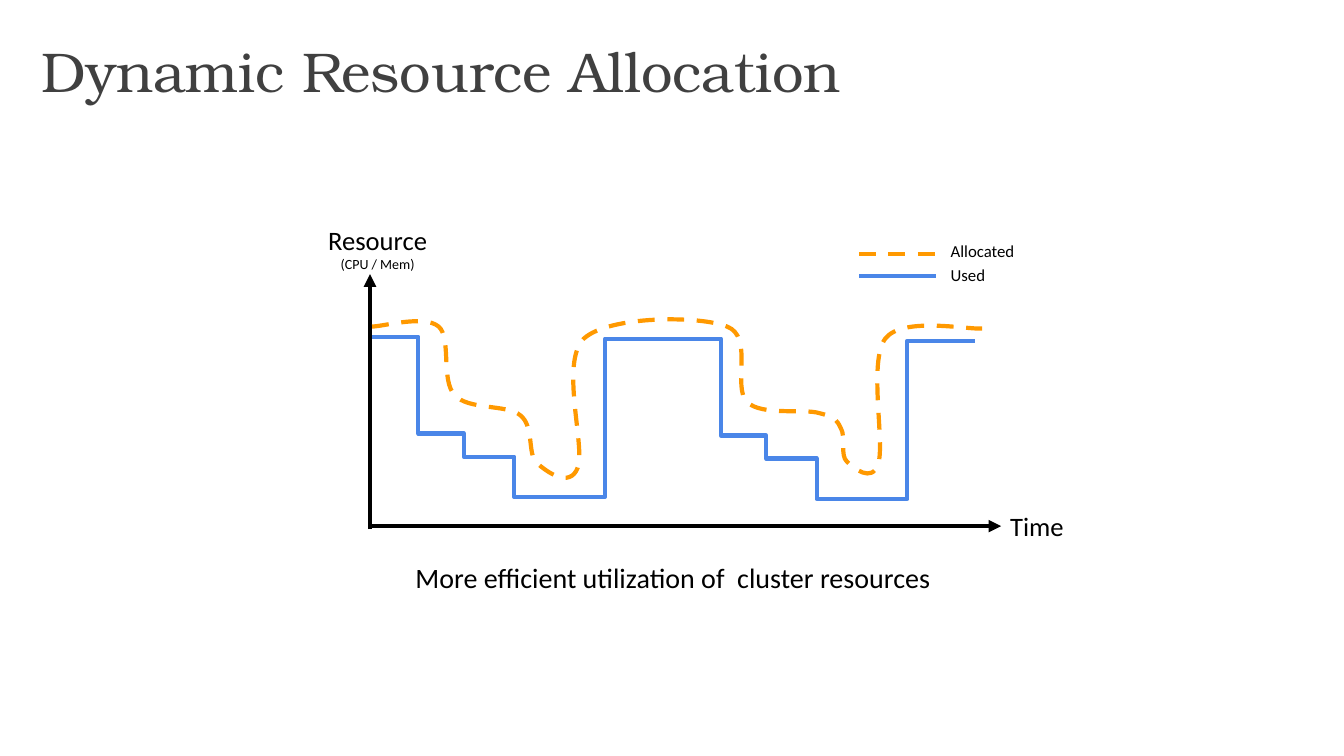
import pptx
import pptx.util
import pptx.dml.color
import pptx.enum.dml
import pptx.enum.shapes
import pptx.enum.text
import pptx.oxml.ns
import lxml.etree

Inches = pptx.util.Inches
ALIGN = pptx.enum.text.PP_ALIGN
MIDDLE = pptx.enum.text.MSO_ANCHOR.MIDDLE
BLACK, BLUE, ORANGE, GREY = "000000", "4A86E8", "FF9900", "404040"

STEPS = [(0.48, 0.96), (0.93, 1.19), (1.43, 1.59), (2.33, 0.02)]
WAVE = 3
CURVE = [
    (0.02, 0.52),
    (0.13, 0.52), (0.54, 0.4), (0.68, 0.52),
    (0.81, 0.63), (0.7, 1.06), (0.84, 1.2),
    (0.97, 1.35), (1.36, 1.29), (1.49, 1.4),
    (1.63, 1.51), (1.56, 1.78), (1.65, 1.87),
    (1.75, 1.96), (1.98, 2.13), (2.06, 1.92),
    (2.14, 1.72), (1.88, 0.88), (2.12, 0.64),
    (2.37, 0.41), (3.27, 0.41), (3.54, 0.52),
    (3.81, 0.62), (3.59, 1.12), (3.74, 1.27),
    (3.89, 1.41), (4.31, 1.33), (4.46, 1.38),
    (4.62, 1.42), (4.63, 1.45), (4.67, 1.53),
    (4.72, 1.61), (4.66, 1.8), (4.73, 1.86),
    (4.79, 1.92), (4.98, 2.08), (5.04, 1.88),
    (5.11, 1.68), (4.94, 0.87), (5.11, 0.64),
    (5.28, 0.42), (5.91, 0.55), (6.07, 0.54),
]


def tag(name):
    """Return the full name of an XML element."""
    return pptx.oxml.ns.qn(name)


def color(code):
    """Turn a hex string into a colour."""
    return pptx.dml.color.RGBColor.from_string(code)


def stroke(line, code, dash=False):
    """Set the colour, width and dash of a line."""
    line.color.rgb = color(code)
    line.width = pptx.util.Pt(3)
    if dash:
        line.dash_style = pptx.enum.dml.MSO_LINE.DASH


def write(para, text, size, font="Calibri", code=BLACK):
    """Add one run to a paragraph."""
    run = para.add_run()
    run.text = text
    run.font.size = pptx.util.Pt(size)
    run.font.name = font
    run.font.color.rgb = color(code)


def label(slide, box, rows, align=ALIGN.CENTER):
    """Add a text box with one paragraph for each row."""
    frame = slide.shapes.add_textbox(*map(Inches, box)).text_frame
    frame.word_wrap = True
    frame.vertical_anchor = MIDDLE
    for i, (text, size) in enumerate(rows):
        para = frame.add_paragraph() if i else frame.paragraphs[0]
        para.alignment = align
        write(para, text, size)


def link(slide, start, end, code, dash=False, arrow=False):
    """Draw a straight line, with an arrowhead at its end if asked."""
    kind = pptx.enum.shapes.MSO_CONNECTOR.STRAIGHT
    line = slide.shapes.add_connector(kind, *map(Inches, (*start, *end)))
    stroke(line.line, code, dash)
    if arrow:
        lxml.etree.SubElement(line.line._get_or_add_ln(), tag("a:tailEnd"), type="triangle")
    lxml.etree.SubElement(line._element.spPr, tag("a:effectLst"))


def trace(slide, left, top, points, code, dash=False):
    """Draw an open outline through points given from a corner."""
    spots = [(Inches(left + x), Inches(top + y)) for x, y in points]
    pen = slide.shapes.build_freeform(*spots[0])
    pen.add_line_segments(spots[1:], close=False)
    shape = pen.convert_to_shape()
    shape.shadow.inherit = False
    shape.fill.background()
    stroke(shape.line, code, dash)
    return shape


def bend(shape):
    """Turn each three points after the first into one curve."""
    route = next(shape._element.iter(tag("a:path")))
    lines = route.findall(tag("a:lnTo"))
    for i in range(0, len(lines), 3):
        curve = lxml.etree.SubElement(route, tag("a:cubicBezTo"))
        for line in lines[i:i + 3]:
            curve.append(line[0])
            route.remove(line)


def title(slide, left, top, width, height):
    """Fill and place the title."""
    head = slide.shapes.title
    head.left, head.top, head.width, head.height = map(Inches, (left, top, width, height))
    frame = head.text_frame
    frame.word_wrap = True
    frame.vertical_anchor = MIDDLE
    frame.margin_left = frame.margin_right = Inches(0.13)
    frame.margin_top = frame.margin_bottom = Inches(0.07)
    frame.paragraphs[0].alignment = ALIGN.LEFT
    write(frame.paragraphs[0], "Dynamic Resource Allocation", 40, "TeX Gyre Bonum", GREY)


def steps(slide, left, top):
    """Draw one wave of the used resources."""
    points, level = [(0, 0)], 0
    for x, y in STEPS:
        points += [(x, level), (x, y)]
        level = y
    points.append((WAVE, level))
    trace(slide, left, top, points, BLUE)


def legend(slide, left, top):
    """Draw the key to both lines."""
    rows = [("Allocated", ORANGE, True, 0.83, 0), ("Used", BLUE, False, 0.76, 0.22)]
    for i, (text, code, dash, width, drop) in enumerate(rows):
        y = top + drop
        link(slide, (left, y), (left + width, y), code, dash)
        label(slide, (left + 0.81, top - 0.24 + 0.24 * i, 1.52, 0.41), [(text, 12)], ALIGN.LEFT)


def plot(slide, left, top, width, height):
    """Draw the axes, both lines and their labels."""
    base = top + height
    link(slide, (left, base), (left + width, base), BLACK, arrow=True)
    label(slide, (left - 0.62, top - 0.56, 1.39, 0.6), [("Resource", 19), ("(CPU / Mem)", 10)])
    for i in range(2):
        steps(slide, left + WAVE * i, top + 0.62 + 0.02 * i)
    link(slide, (left, base + 0.03), (left, top), BLACK, arrow=True)
    legend(slide, left + 4.85, top - 0.2)
    bend(trace(slide, left, top, CURVE, ORANGE, True))
    label(slide, (left + width - 0.1, base - 0.21, 0.91, 0.41), [("Time", 19)])


def main():
    """Build and save the slide."""
    deck = pptx.Presentation()
    deck.slide_width, deck.slide_height = Inches(13.33), Inches(7.5)
    slide = deck.slides.add_slide(deck.slide_layouts[5])
    title(slide, 0.28, 0.23, 9.36, 0.94)
    plot(slide, 3.67, 2.72, 6.26, 2.5)
    label(slide, (3.94, 5.51, 5.47, 0.44), [("More efficient utilization of  cluster resources", 20)])
    deck.save("out.pptx")


if __name__ == "__main__":
    main()
